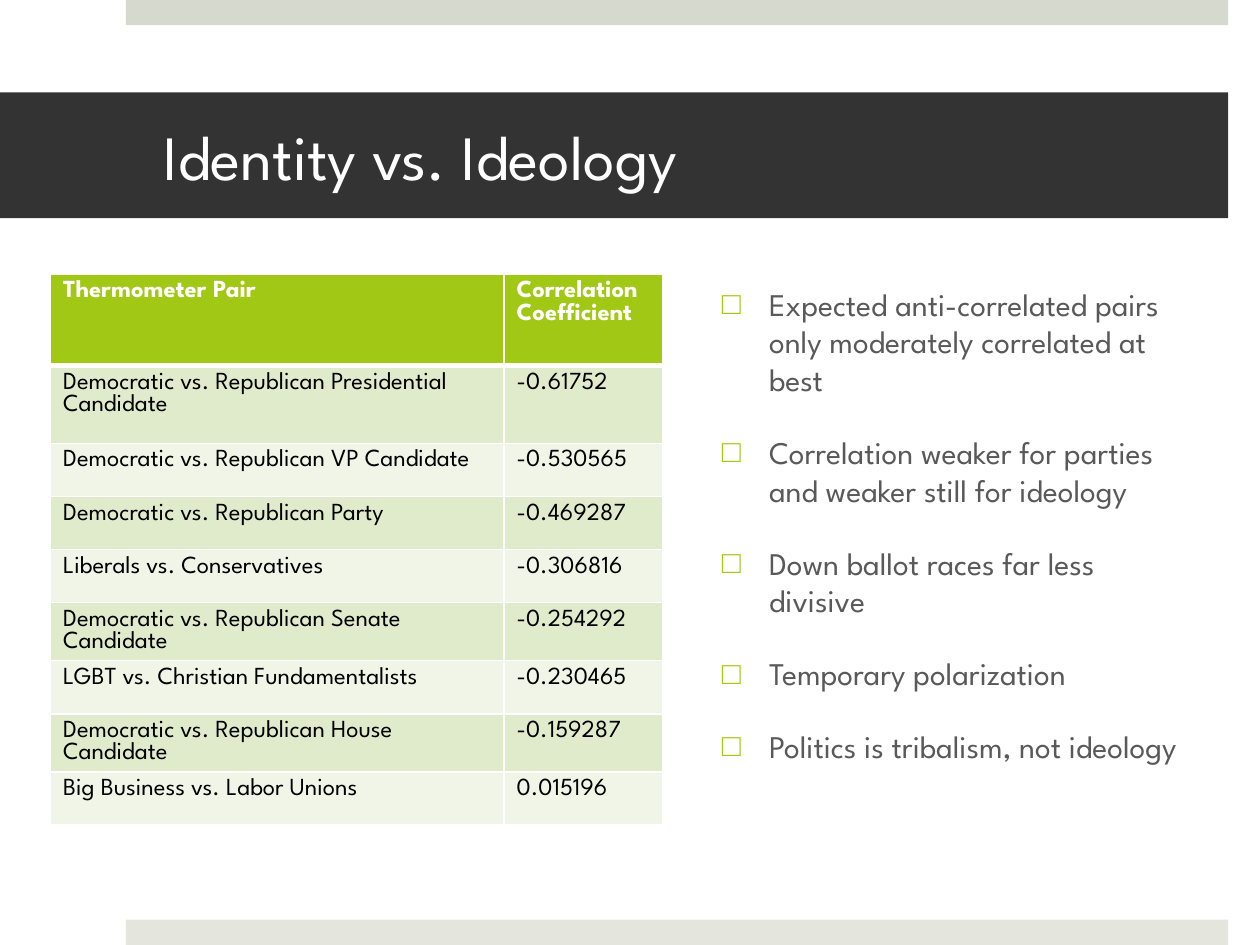
from dataclasses import dataclass

from lxml import etree
from pptx import Presentation
from pptx.dml.color import RGBColor
from pptx.enum.shapes import MSO_SHAPE
from pptx.enum.text import MSO_ANCHOR, MSO_AUTO_SIZE, PP_ALIGN
from pptx.oxml.ns import qn
from pptx.util import Cm, Pt

RECT = MSO_SHAPE.RECTANGLE
MIDDLE = MSO_ANCHOR.MIDDLE
NO_FIT = MSO_AUTO_SIZE.NONE
LEFT = PP_ALIGN.LEFT


@dataclass(frozen=True)
class Theme:
    font: str = "League Spartan"
    white: str = "FFFFFF"
    black: str = "000000"
    text: str = "595959"
    band: str = "333333"
    accent: str = "A2C816"
    row_dark: str = "E0EBCC"
    row_light: str = "F0F5E8"
    top_bar: str = "D6D9CD"
    bottom_bar: str = "E4E6DE"
    title_size: int = 36
    body_size: int = 18
    table_size: int = 14


class SlideBuilder:
    def __init__(self, slide, theme):
        self.s = slide
        self.theme = theme

    def place(self, sp, left, top, width, height):
        sp.left, sp.top = Cm(left), Cm(top)
        sp.width, sp.height = Cm(width), Cm(height)

    def paint(self, target, color):
        target.fill.solid()
        target.fill.fore_color.rgb = RGBColor.from_string(color)

    def run(self, p, text, size, color, bold=False):
        r = p.add_run()
        r.text = text
        r.font.name = self.theme.font
        r.font.size = Pt(size)
        r.font.bold = bold
        r.font.color.rgb = RGBColor.from_string(color)

    def bar(self, left, top, width, height, color):
        sp = self.s.shapes.add_shape(RECT, Cm(left), Cm(top), Cm(width), Cm(height))
        sp.shadow.inherit = False
        sp.line.fill.background()
        self.paint(sp, color)

    def title(self, text, *box):
        sp = self.s.shapes.title
        self.place(sp, *box)
        self.paint(sp, self.theme.band)
        tf = sp.text_frame
        tf.auto_size = NO_FIT
        tf.vertical_anchor = MIDDLE
        tf.margin_left, tf.margin_right = Cm(3.3), Cm(0.76)
        p = tf.paragraphs[0]
        p.alignment = LEFT
        self.run(p, text, self.theme.title_size, self.theme.white)

    def bullets(self, items, *box):
        sp = self.s.placeholders[1]
        self.place(sp, *box)
        tf = sp.text_frame
        tf.auto_size = NO_FIT
        for i, text in enumerate(items):
            p = tf.add_paragraph() if i else tf.paragraphs[0]
            p.space_before = Pt(20)
            self.bullet(p)
            self.run(p, text, self.theme.body_size, self.theme.text)

    def bullet(self, p):
        pPr = p._p.get_or_add_pPr()
        pPr.set("marL", str(Cm(0.95)))
        pPr.set("indent", str(-Cm(0.95)))
        clr = etree.SubElement(pPr, qn("a:buClr"))
        etree.SubElement(clr, qn("a:srgbClr"), val=self.theme.accent)
        etree.SubElement(pPr, qn("a:buChar"), char="□")

    def borders(self, cell, top, bottom):
        tcPr = cell._tc.get_or_add_tcPr()
        for side, width in (("L", 1), ("R", 1), ("T", top), ("B", bottom)):
            ln = etree.SubElement(tcPr, qn(f"a:ln{side}"), w=str(Pt(width)))
            fill = etree.SubElement(ln, qn("a:solidFill"))
            etree.SubElement(fill, qn("a:srgbClr"), val=self.theme.white)

    def table(self, rows, left, top, widths, heights):
        t = self.theme
        table = self.s.shapes.add_table(
            len(rows), len(widths), Cm(left), Cm(top),
            Cm(sum(widths)), Cm(sum(heights))).table
        for col, width in zip(table.columns, widths):
            col.width = Cm(width)
        for i, (row, height) in enumerate(zip(rows, heights)):
            table.rows[i].height = Cm(height)
            header = i == 0
            band = t.row_dark if i % 2 else t.row_light
            for j, text in enumerate(row):
                cell = table.cell(i, j)
                # The rule under the header is heavier than the others
                self.borders(cell, 3 if i == 1 else 1, 3 if header else 1)
                self.paint(cell, t.accent if header else band)
                self.run(cell.text_frame.paragraphs[0], text, t.table_size,
                         t.white if header else t.black, header)


CORRELATIONS = [
    ("Thermometer Pair", "Correlation Coefficient"),
    ("Democratic vs. Republican Presidential Candidate", "-0.61752"),
    ("Democratic vs. Republican VP Candidate", "-0.530565"),
    ("Democratic vs. Republican Party", "-0.469287"),
    ("Liberals vs. Conservatives", "-0.306816"),
    ("Democratic vs. Republican Senate Candidate", "-0.254292"),
    ("LGBT vs. Christian Fundamentalists", "-0.230465"),
    ("Democratic vs. Republican House Candidate", "-0.159287"),
    ("Big Business vs. Labor Unions", "0.015196"),
]
FINDINGS = [
    "Expected anti-correlated pairs only moderately correlated at best",
    "Correlation weaker for parties and weaker still for ideology",
    "Down ballot races far less divisive",
    "Temporary polarization",
    "Politics is tribalism, not ideology",
]


def main():
    prs = Presentation()
    prs.slide_width, prs.slide_height = Cm(25.4), Cm(19.05)
    theme = Theme()
    s = SlideBuilder(prs.slides.add_slide(prs.slide_layouts[1]), theme)

    # Bars along the top and bottom edges
    s.bar(2.54, 0, 22.22, 0.51, theme.top_bar)
    s.bar(2.54, 18.54, 22.22, 0.51, theme.bottom_bar)

    # Title band
    s.title("Identity vs. Ideology", 0, 1.86, 24.76, 2.54)

    # Correlation table
    heights = [1.85, 1.57] + [1.07] * (len(CORRELATIONS) - 2)
    s.table(CORRELATIONS, 1.02, 5.52, [9.14, 3.2], heights)

    # Findings
    s.bullets(FINDINGS, 14.3, 5.61, 9.91, 11.96)

    prs.save("out.pptx")


if __name__ == "__main__":
    main()
